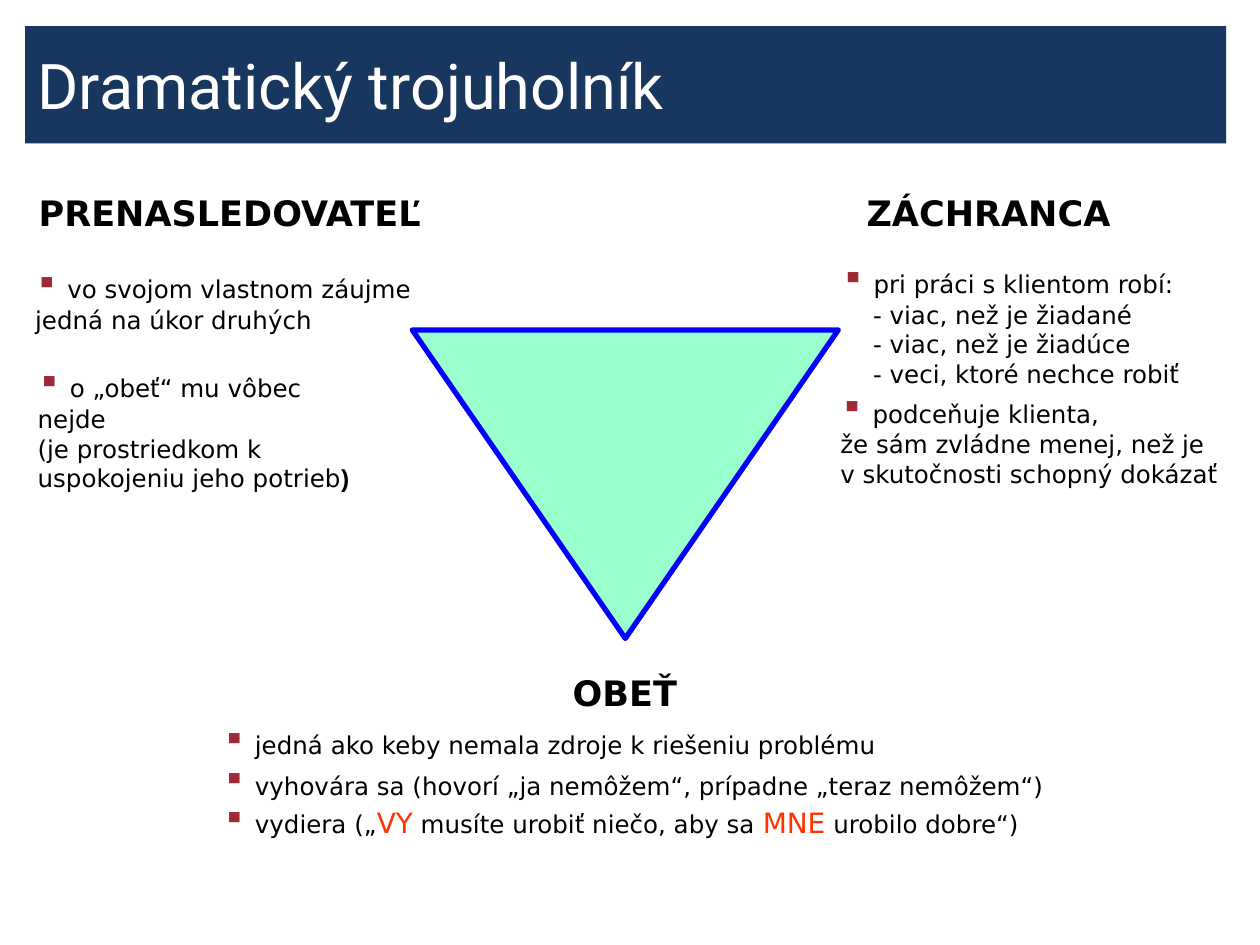
"""Build the drama triangle slide."""
import pptx
import pptx.dml.color
import pptx.enum.shapes
import pptx.enum.text
import pptx.oxml
import pptx.oxml.ns
import pptx.util

Cm, Pt = pptx.util.Cm, pptx.util.Pt
SHAPE = pptx.enum.shapes.MSO_SHAPE
ALIGN = pptx.enum.text.PP_ALIGN
HUES = {"navy": "17375E", "mint": "99FFCC", "blue": "0000FF", "white": "FFFFFF",
        "black": "000000", "red": "FF3300", "wine": "9F2936"}
LOOKS = {
    "title": {"size": Pt(36), "name": "Roboto", "bold": False},
    "head": {"size": Pt(20), "name": "DejaVu Sans", "bold": True},
    "gap": {"size": Pt(18), "name": "Arial", "bold": False},
    "body": {"size": Pt(14), "name": "DejaVu Sans", "bold": False},
    "loud": {"size": Pt(16), "name": "DejaVu Sans", "bold": False},
    "close": {"size": Pt(14), "name": "Arial", "bold": True},
}
NS = pptx.oxml.ns.nsdecls("a")


def hue(name):
    return pptx.dml.color.RGBColor.from_string(HUES[name])


def write(para, text, look, tint="black"):
    run = para.add_run()
    run.text = text
    for key, value in LOOKS[look].items():
        setattr(run.font, key, value)
    run.font.color.rgb = hue(tint)


deck = pptx.Presentation()
deck.slide_width, deck.slide_height = Cm(25.4), Cm(19.05)
slide = deck.slides.add_slide(deck.slide_layouts[6])

band = slide.shapes.add_shape(SHAPE.RECTANGLE, Cm(0.51), Cm(0.53), Cm(24.21), Cm(2.36))
wedge = slide.shapes.add_shape(SHAPE.ISOSCELES_TRIANGLE, Cm(8.31), Cm(6.65), Cm(8.59), Cm(6.22))
for shape, tint in ((band, "navy"), (wedge, "mint")):
    shape.shadow.inherit = False
    shape.fill.solid()
    shape.fill.fore_color.rgb = hue(tint)
band.line.fill.background()
band.text_frame.vertical_anchor = pptx.enum.text.MSO_ANCHOR.MIDDLE
para = band.text_frame.paragraphs[0]
para.alignment = ALIGN.LEFT
write(para, "Dramatický trojuholník", "title", "white")
wedge.rotation = 180
wedge.line.color.rgb = hue("blue")
wedge.line.width = Pt(3)

heads = [
    (0.53, 3.73, 8.43, "PRENASLEDOVATEĽ", ALIGN.LEFT),
    (17.22, 3.73, 6.35, "ZÁCHRANCA", ALIGN.LEFT),
    (10.74, 13.41, 3.71, "OBEŤ", ALIGN.CENTER),
]
for left, top, width, text, align in heads:
    box = slide.shapes.add_textbox(Cm(left), Cm(top), Cm(width), Cm(1.09))
    box.text_frame.word_wrap = True
    para = box.text_frame.paragraphs[0]
    para.alignment = align
    write(para, text, "head")

notes = [
    (0.46, 5.26, 8.76, 1.63, [[("vo svojom vlastnom záujme jedná na úkor druhých", "body")]]),
    (0.51, 7.26, 7.29, 2.24, [
        [("o „obeť“ mu vôbec nejde", "body")],
        [("(je prostriedkom k uspokojeniu jeho potrieb", "body"), (")", "close")]]),
    (16.71, 5.16, 9.75, 2.82, [
        [("pri práci s klientom robí:", "body")],
        [("- viac, než je žiadané", "body")],
        [("- viac, než je žiadúce", "body")],
        [("- veci, ktoré nechce robiť", "body")]]),
    (16.69, 7.77, 10.82, 2.82, [
        [("podceňuje klienta,", "body")],
        [("že sám zvládne menej, než je", "body")],
        [("v skutočnosti schopný dokázať", "body")]]),
    (4.24, 14.45, 14.48, 1.02, [[("jedná ako keby nemala zdroje k riešeniu problému", "body")]]),
    (4.24, 15.27, 18.67, 1.02, [
        [("vyhovára sa (hovorí „ja nemôžem“, prípadne „teraz nemôžem“)", "body")]]),
    (4.24, 16.05, 17.42, 1.02, [
        [("vydiera („", "body"), ("VY", "loud", "red"),
         (" musíte urobiť niečo, aby sa ", "body"), ("MNE", "loud", "red"),
         (" urobilo dobre“)", "body")]]),
]
for left, top, width, height, lines in notes:
    box = slide.shapes.add_textbox(Cm(left), Cm(top), Cm(width), Cm(height))
    frame = box.text_frame
    frame.word_wrap = True
    for rank, line in enumerate(lines):
        para = frame.add_paragraph() if rank else frame.paragraphs[0]
        props = para._p.get_or_add_pPr()
        if rank == 0:
            for mark in (f'<a:buClr {NS}><a:srgbClr val="{HUES["wine"]}"/></a:buClr>',
                         f'<a:buChar {NS} char="▪"/>'):
                props.append(pptx.oxml.parse_xml(mark))
            write(para, " ", "gap")
        elif line[0][0].startswith("-"):
            props.set("marL", str(Cm(0.64)))
        for part in line:
            write(para, *part)

deck.save("out.pptx")
